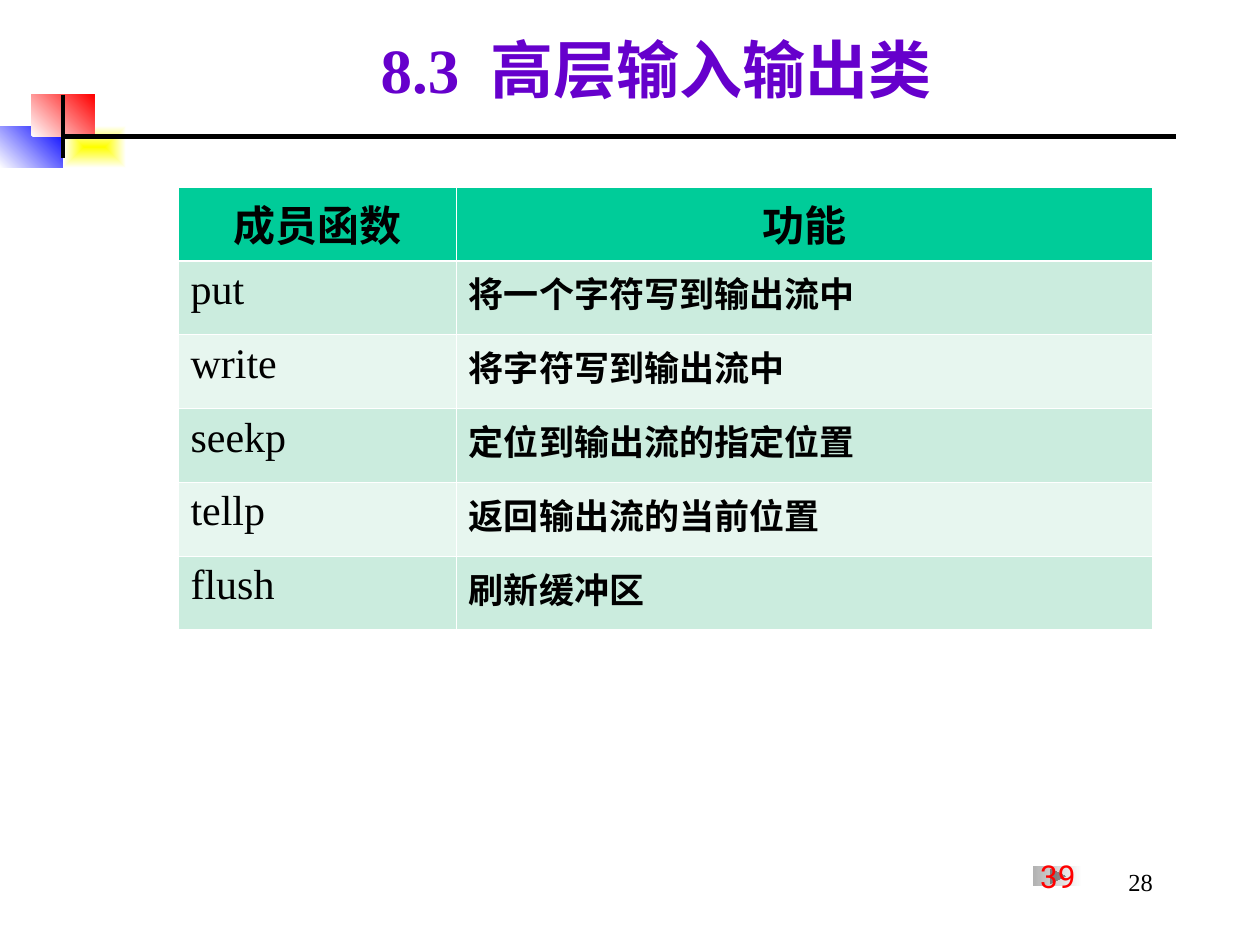
from pptx import Presentation, util as u
from pptx.dml.color import RGBColor
from pptx.enum import shapes, text
from pptx.oxml import parse_xml
from pptx.oxml.ns import nsdecls, qn

COLORS = {
    "black": "000000", "white": "FFFFFF", "blue": "0000FF", "yellow": "FFFF00",
    "red": "FF0000", "purple": "6600CC", "gray": "B2B2B2",
    "header": "00CC99", "odd": "CBECDE", "even": "E7F6EF",
}
CELL = u.Inches(10) // 120
ROWS = [
    ("成员函数", "功能"),
    ("put", "将一个字符写到输出流中"),
    ("write", "将字符写到输出流中"),
    ("seekp", "定位到输出流的指定位置"),
    ("tellp", "返回输出流的当前位置"),
    ("flush", "刷新缓冲区"),
]


def grid(*values):
    return [round(value * CELL) for value in values]


def color(name):
    return RGBColor.from_string(COLORS[name])


def write(frame, words, size=24, font="Times New Roman", ink="black", bold=False,
          align=text.PP_ALIGN.LEFT, anchor=text.MSO_ANCHOR.TOP, wrap=True):
    frame.word_wrap = wrap
    frame.auto_size = text.MSO_AUTO_SIZE.NONE
    frame.vertical_anchor = anchor
    para = frame.paragraphs[0]
    para.alignment = align
    span = para.add_run()
    span.text = words
    span.font.size = u.Pt(size)
    span.font.name = font
    span.font.bold = bold
    span.font.color.rgb = color(ink)


def gradient_shape(page, kind, box, start, end, angle=0):
    shape = page.shapes.add_shape(kind, *grid(*box))
    shape.shadow.inherit = False
    shape.line.fill.background()
    shape.fill.gradient()
    shape.fill.gradient_angle = angle
    for stop, name, position in zip(shape.fill.gradient_stops, (start, end), (0, 1)):
        stop.color.rgb = color(name)
        stop.position = position
    return shape


def add_rule(page, start, end):
    rule = page.shapes.add_connector(shapes.MSO_CONNECTOR.STRAIGHT, *grid(*start, *end))
    rule.line.color.rgb = color("black")
    rule.line.width = u.Pt(2.5)
    rule._element.spPr.append(parse_xml(f"<a:effectLst {nsdecls('a')}/>"))


def add_ornament(page, box):
    left, top, width, height = box
    rectangle = shapes.MSO_SHAPE.RECTANGLE
    gradient_shape(page, rectangle, (left, top + 3, 6, 4), "white", "blue", 45)
    glow = gradient_shape(page, rectangle, (left + 6, top + 3, 6, 4), "yellow", "white")
    linear = glow._element.spPr.find(".//" + qn("a:lin"))
    linear.getparent().replace(linear, parse_xml(
        f'<a:path {nsdecls("a")} path="rect">'
        '<a:fillToRect l="50000" t="50000" r="50000" b="50000"/></a:path>'))
    gradient_shape(page, rectangle, (left + 3, top, 6, 4), "white", "red", 45)
    add_rule(page, (left + 6, top + 4), (left + width, top + 4))
    add_rule(page, (left + 6, top), (left + 6, top + height))


def add_title(page, box):
    title = page.shapes.title
    title.left, title.top, title.width, title.height = grid(*box)
    write(title.text_frame, "8.3  高层输入输出类", size=36, ink="purple", bold=True,
          align=text.PP_ALIGN.CENTER, anchor=text.MSO_ANCHOR.MIDDLE)


def add_borders(cell, row):
    widths = {"L": 0.45, "R": 0.45, "T": 1.47 if row == 1 else 0.45,
              "B": 1.47 if row == 0 else 0.45}
    properties = cell._tc.get_or_add_tcPr()
    for side, width in widths.items():
        properties.append(parse_xml(
            f'<a:ln{side} {nsdecls("a")} w="{u.Pt(width)}"><a:solidFill>'
            f'<a:srgbClr val="{COLORS["white"]}"/></a:solidFill></a:ln{side}>'))


def add_function_table(page, box):
    table = page.shapes.add_table(len(ROWS), 2, *grid(*box)).table
    for column, share in zip(table.columns, (2 / 7, 5 / 7)):
        column.width = round(box[2] * share * CELL)
    for row, entries in enumerate(ROWS):
        table.rows[row].height = round(box[3] / len(ROWS) * CELL)
        for column, words in enumerate(entries):
            cell = table.cell(row, column)
            header = row == 0
            add_borders(cell, row)
            cell.fill.solid()
            cell.fill.fore_color.rgb = color("header" if header else "odd" if row % 2 else "even")
            write(cell.text_frame, words, size=24 if header or column == 0 else 20,
                  bold=header or column == 1,
                  align=text.PP_ALIGN.CENTER if header else text.PP_ALIGN.LEFT)


def add_footer(page, box):
    left, top, width, height = box
    number = page.shapes.add_textbox(*grid(*box))
    write(number.text_frame, "28", size=14, align=text.PP_ALIGN.RIGHT)
    button = gradient_shape(page, shapes.MSO_SHAPE.ACTION_BUTTON_FORWARD_OR_NEXT,
                            (left + 12.4, top + 0.5, 4.7, 1.9), "gray", "white")
    write(button.text_frame, "39", size=18, font="Roboto", ink="red", wrap=False,
          align=text.PP_ALIGN.CENTER, anchor=text.MSO_ANCHOR.MIDDLE)


def main():
    deck = Presentation()
    deck.slide_width, deck.slide_height = grid(120, 90)
    page = deck.slides.add_slide(deck.slide_layouts[5])
    add_ornament(page, (0, 9, 112, 6))
    add_title(page, (14, 2, 97, 9))
    add_function_table(page, (16.95, 17.8, 92.8, 42.2))
    add_footer(page, (86, 82, 25, 6))
    deck.save("out.pptx")


if __name__ == "__main__":
    main()
